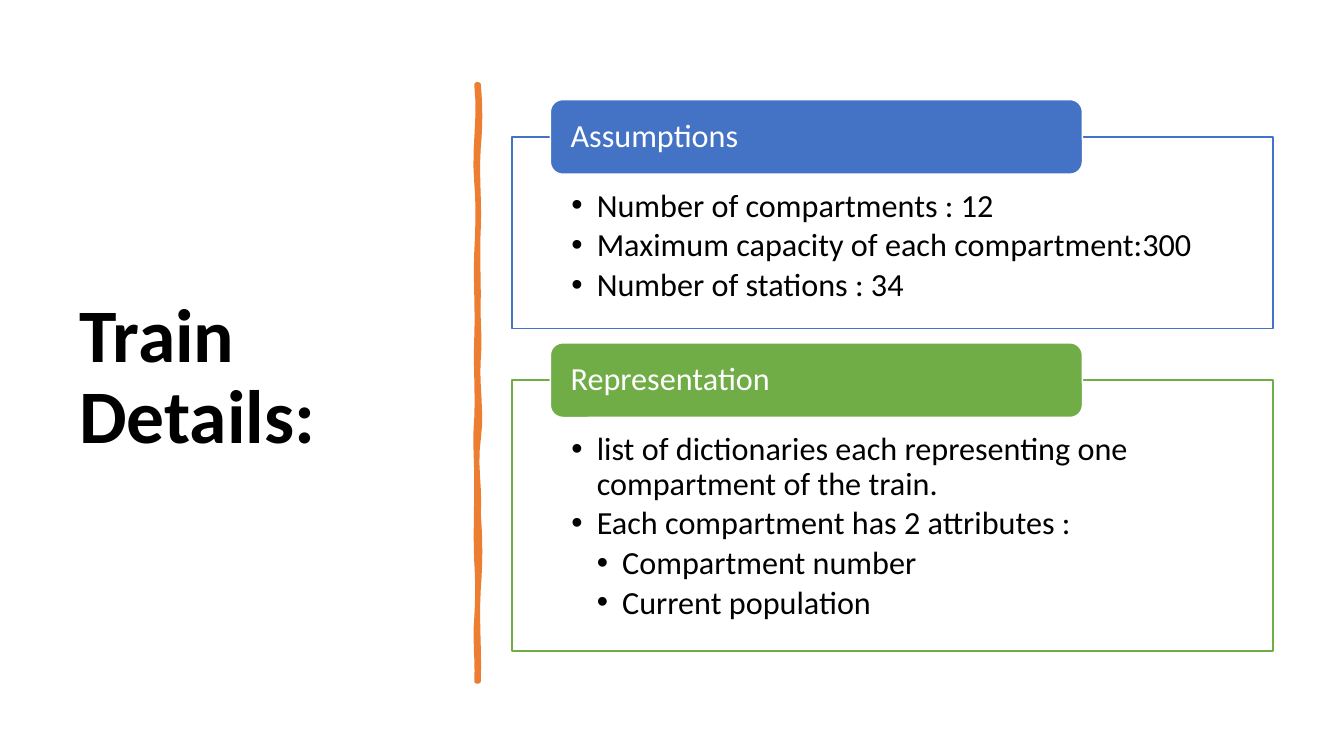
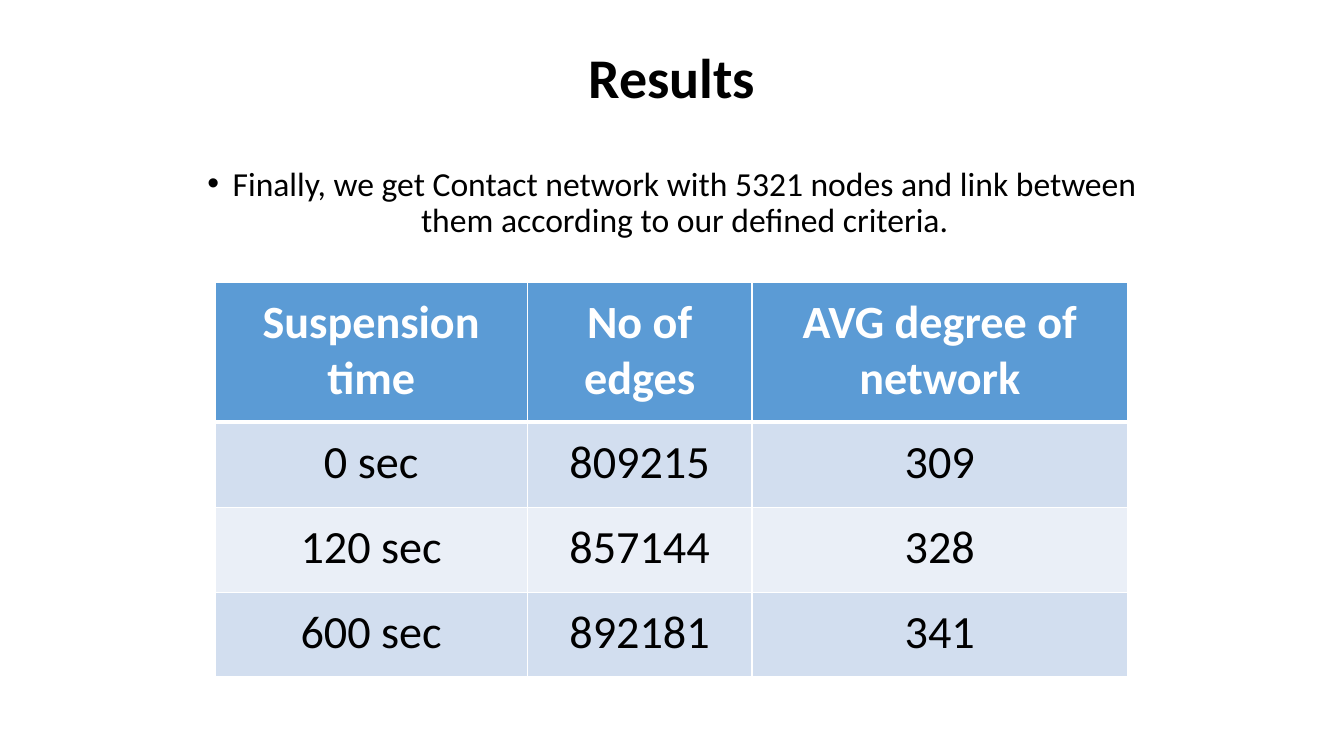
import lxml.etree
import pptx
import pptx.dml.color
import pptx.enum.shapes
import pptx.enum.text
import pptx.oxml.ns
import pptx.util

Cm, Pt = pptx.util.Cm, pptx.util.Pt
qn = pptx.oxml.ns.qn
MSO_SHAPE = pptx.enum.shapes.MSO_SHAPE
ALIGN = pptx.enum.text.PP_ALIGN
ANCHOR = pptx.enum.text.MSO_ANCHOR

FONT = "Calibri"
BLACK, WHITE = "000000", "FFFFFF"
BLUE, GREEN, ORANGE = "4472C4", "70AD47", "ED7D31"
HEADER_BLUE, BANDS = "5B9BD5", ("D2DEEF", "EAEFF7")
SLIDE_WIDTH, SLIDE_HEIGHT = 33.87, 19.05
INDENT = 0.64

# heading, colour, top and height in cm, then (level, text) points
PANELS = [
    ("Assumptions", BLUE, 3.45, 4.83, [
        (1, "Number of compartments : 12"),
        (1, "Maximum capacity of each compartment:300"),
        (1, "Number of stations : 34"),
    ]),
    ("Representation", GREEN, 9.58, 6.83, [
        (1, "list of dictionaries each representing one compartment of the train."),
        (1, "Each compartment has 2 attributes :"),
        (2, "Compartment number"),
        (2, "Current population"),
    ]),
]

# Each stretch of the hand-drawn rule: end y, then two sideways bends, in cm
RULE_TOP = 2.13
RULE_EDGES = [
    (12.06, [(3.71, 0.05, 0.05), (5.74, -0.05, 0.03), (7.47, -0.03, 0),
             (9.04, -0.03, 0.05), (11.07, -0.05, 0.1), (12.95, -0.1, 0.05),
             (14.83, 0.05, 0.05), (17.17, -0.05, 0.03)]),
    (12.01, [(15.57, 0.03, -0.05), (14.15, 0.03, 0.03), (12.12, -0.03, 0),
             (10.54, 0, -0.05), (8.51, 0.03, -0.03), (6.35, 0.03, -0.03),
             (4.6, 0.03, 0.05), (RULE_TOP, -0.08, 0.1)]),
]

FINDING = ("Finally, we get Contact network with 5321 nodes and link between "
           "them according to our defined criteria.")
RESULTS = [
    ("Suspension time", "No of edges", "AVG degree of network"),
    ("0 sec", "809215", "309"),
    ("120 sec", "857144", "328"),
    ("600 sec", "892181", "341"),
]
COLUMN_WIDTHS = (7.87, 5.66, 9.47)
HEADER_HEIGHT, ROW_HEIGHT = 3.53, 2.14


def rgb(colour):
    return pptx.dml.color.RGBColor.from_string(colour)


def paint(shape, fill, line, width):
    shape.shadow.inherit = False
    shape.fill.solid()
    shape.fill.fore_color.rgb = rgb(fill)
    shape.line.color.rgb = rgb(line)
    shape.line.width = Pt(width)


def style(paragraph, size, colour=BLACK, bold=False, align=ALIGN.LEFT, spacing=0.9):
    paragraph.alignment = align
    paragraph.line_spacing = spacing
    for run in paragraph.runs:
        run.font.name = FONT
        run.font.size = Pt(size)
        run.font.bold = bold
        run.font.color.rgb = rgb(colour)


def add_bullet(paragraph, level=1):
    properties = paragraph._p.get_or_add_pPr()
    properties.set("marL", str(Cm(INDENT * level)))
    properties.set("indent", str(-Cm(INDENT)))
    lxml.etree.SubElement(properties, qn("a:buFont"), typeface="Arial")
    lxml.etree.SubElement(properties, qn("a:buChar"), char="•")


def set_margins(frame, left, top, right, bottom):
    frame.margin_left, frame.margin_top = Cm(left), Cm(top)
    frame.margin_right, frame.margin_bottom = Cm(right), Cm(bottom)


def add_text(slide, text, left, top, width, height, size, **look):
    """Add a vertically centred text box and return its paragraph."""
    frame = slide.shapes.add_textbox(Cm(left), Cm(top), Cm(width), Cm(height)).text_frame
    frame.word_wrap = True
    frame.vertical_anchor = ANCHOR.MIDDLE
    frame.text = text
    style(frame.paragraphs[0], size, **look)
    return frame.paragraphs[0]


def add_title(slide, text, left, top, width, height, size, align=ALIGN.LEFT):
    add_text(slide, text, left, top, width, height, size, bold=True, align=align)


def add_rule(slide, steps=6):
    """Draw the wavy rule by sampling a cubic curve along each stretch."""
    points, y = [], RULE_TOP
    for x, stretches in RULE_EDGES:
        points.append((Cm(x), Cm(y)))
        for end, first, second in stretches:
            for step in range(1, steps + 1):
                t = step / steps
                bend = 3 * t * (1 - t) * ((1 - t) * first + t * second)
                points.append((Cm(x + bend), Cm(y + (end - y) * t)))
            y = end
    builder = slide.shapes.build_freeform(*points[0])
    builder.add_line_segments(points[1:], close=True)
    rule = builder.convert_to_shape()
    paint(rule, ORANGE, ORANGE, 3.25)
    lxml.etree.SubElement(rule._element.spPr.find(qn("a:ln")), qn("a:round"))


def add_panel(slide, heading, colour, top, height, points):
    panel = slide.shapes.add_shape(
        MSO_SHAPE.RECTANGLE, Cm(12.9), Cm(top), Cm(19.18), Cm(height))
    paint(panel, WHITE, colour, 1)
    frame = panel.text_frame
    frame.word_wrap = True
    frame.vertical_anchor = ANCHOR.TOP
    set_margins(frame, 1.5, 1.32, 1.5, 0.46)
    frame.text = "\n".join(text for _, text in points)
    for paragraph, (level, _) in zip(frame.paragraphs, points):
        paragraph.level = level
        style(paragraph, 23)
        paragraph.space_after = Pt(3.5)
        add_bullet(paragraph, level)

    tab = slide.shapes.add_shape(
        MSO_SHAPE.ROUNDED_RECTANGLE, Cm(13.87), Cm(top - 0.94), Cm(13.41), Cm(1.88))
    paint(tab, colour, WHITE, 1)
    set_margins(tab.text_frame, 0.42, 0, 0.42, 0)
    tab.text_frame.vertical_anchor = ANCHOR.MIDDLE
    tab.text_frame.text = heading
    style(tab.text_frame.paragraphs[0], 23, WHITE)


def add_borders(cell, **widths):
    """Give the cell white borders; widths are points by side L, R, T, B."""
    properties = cell._tc.get_or_add_tcPr()
    for side, width in widths.items():
        border = lxml.etree.SubElement(properties, qn(f"a:ln{side}"), w=str(Pt(width)))
        fill = lxml.etree.SubElement(border, qn("a:solidFill"))
        lxml.etree.SubElement(fill, qn("a:srgbClr"), val=WHITE)


def add_results(slide):
    body_rows = len(RESULTS) - 1
    table = slide.shapes.add_table(
        len(RESULTS), len(COLUMN_WIDTHS), Cm(5.42), Cm(7.11), Cm(sum(COLUMN_WIDTHS)),
        Cm(HEADER_HEIGHT + ROW_HEIGHT * body_rows)).table
    for column, width in zip(table.columns, COLUMN_WIDTHS):
        column.width = Cm(width)
    for index, values in enumerate(RESULTS):
        header = index == 0
        table.rows[index].height = Cm(HEADER_HEIGHT if header else ROW_HEIGHT)
        for cell, value in zip(table.rows[index].cells, values):
            add_borders(cell, L=1, R=1, T=3 if index == 1 else 1, B=3 if header else 1)
            cell.fill.solid()
            cell.fill.fore_color.rgb = rgb(HEADER_BLUE if header else BANDS[(index - 1) % 2])
            set_margins(cell, 0.64, 0.31, 0.64, 0.31)
            cell.text = value
            style(cell.text_frame.paragraphs[0], 33, WHITE if header else BLACK,
                  header, ALIGN.CENTER, 1.0)


def main():
    deck = pptx.Presentation()
    deck.slide_width, deck.slide_height = Cm(SLIDE_WIDTH), Cm(SLIDE_HEIGHT)
    blank = deck.slide_layouts[6]

    train = deck.slides.add_slide(blank)
    add_title(train, "Train Details:", 1.75, 1.78, 9.5, 15.52, 54)
    add_rule(train)
    for panel in PANELS:
        add_panel(train, *panel)

    results = deck.slides.add_slide(blank)
    add_title(results, "Results", 2.8, 0.48, 28.27, 3.1, 40, ALIGN.CENTER)
    finding_width = 24.9
    finding = add_text(results, FINDING, (SLIDE_WIDTH - finding_width) / 2, 4.06,
                       finding_width, 2.13, 24, align=ALIGN.CENTER)
    finding.space_before = Pt(10)
    add_bullet(finding)
    add_results(results)

    deck.save("out.pptx")


if __name__ == "__main__":
    main()
